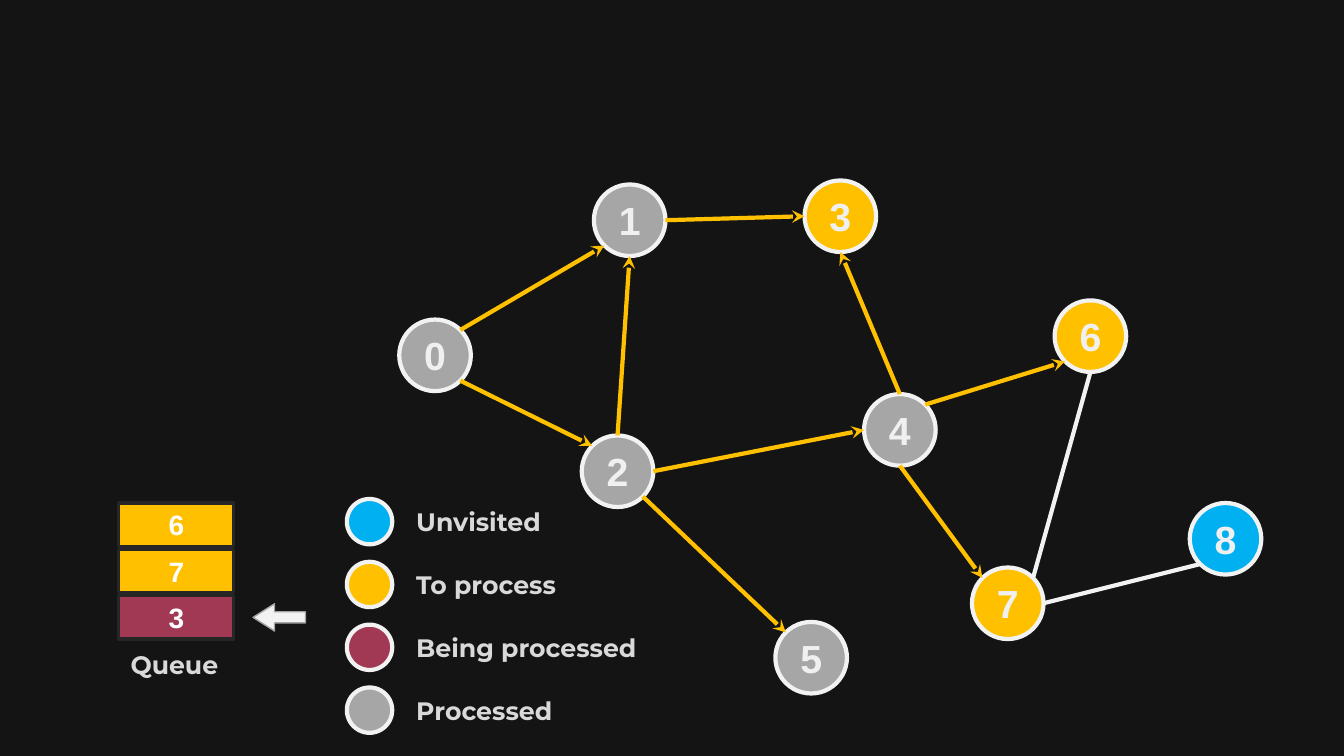
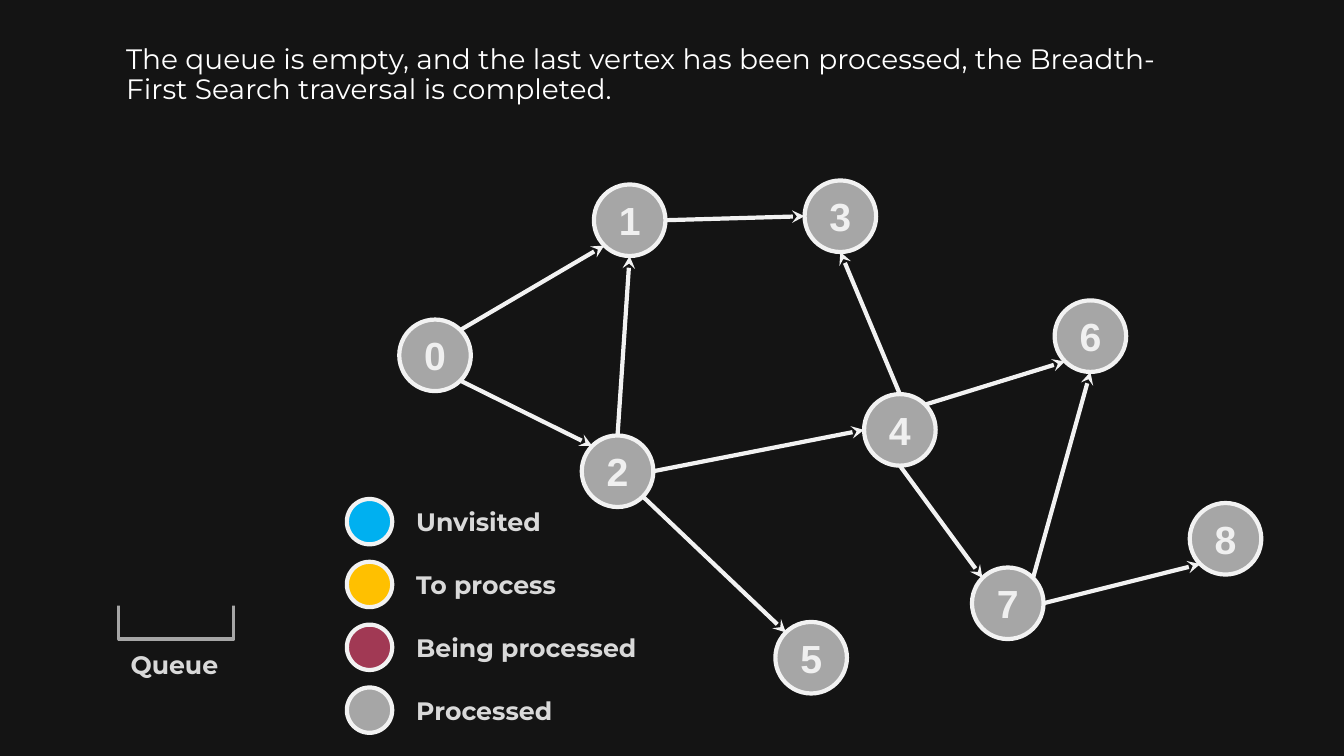
from math import cos, radians, sin

from lxml.etree import SubElement
from pptx import Presentation
from pptx.dml.color import RGBColor
from pptx.enum.shapes import MSO_CONNECTOR, MSO_SHAPE
from pptx.enum.text import MSO_ANCHOR, MSO_AUTO_SIZE, PP_ALIGN
from pptx.oxml.ns import qn
from pptx.util import Inches, Pt

SLIDE_SIZE = (13.33, 7.5)
BACKGROUND, OUTLINE, FRAME = "141414", "F2F2F2", "262626"
STATES = {
    "Unvisited": "00B0F0",
    "To process": "FFC000",
    "Being processed": "A13954",
    "Processed": "A6A6A6",
}

TITLE_FONT = {"name": "Montserrat", "size": Pt(20), "bold": False}
LABEL_FONT = {"name": "Montserrat", "size": Pt(18), "bold": True}
NODE_FONT = {"name": "Arial", "size": Pt(28), "bold": True}
QUEUE_FONT = {"name": "Arial", "size": Pt(20), "bold": True}

TITLE_BOX = (1.15, 0.4, 11.02, 0.82)
GRAPH_BOX = (3.96, 1.79, 8.55, 5.09)
LEGEND_BOX = (3.44, 4.95, 3.19, 2.32)
QUEUE_BOX = (1.18, 4.99, 1.14, 1.35)

GRAPH_COLUMNS, GRAPH_ROWS, NODE_CELLS = 855, 509, 71
NODE_CELL = {
    "0": (0, 138), "1": (193, 4), "2": (181, 253),
    "3": (402, 0), "4": (461, 212), "5": (373, 438),
    "6": (650, 119), "7": (568, 384), "8": (784, 320),
}
TOP, TOP_LEFT, LEFT, BOTTOM_LEFT, BOTTOM, BOTTOM_RIGHT, RIGHT, TOP_RIGHT = range(8)
EDGES = [
    ("0", TOP_RIGHT, "1", BOTTOM_LEFT),
    ("0", BOTTOM_RIGHT, "2", TOP_LEFT),
    ("1", RIGHT, "3", LEFT),
    ("2", TOP, "1", BOTTOM),
    ("2", RIGHT, "4", LEFT),
    ("2", BOTTOM_RIGHT, "5", TOP_LEFT),
    ("4", TOP, "3", BOTTOM),
    ("4", TOP_RIGHT, "6", BOTTOM_LEFT),
    ("4", BOTTOM, "7", TOP_LEFT),
    ("7", TOP_RIGHT, "6", BOTTOM),
    ("7", RIGHT, "8", BOTTOM_LEFT),
]


def color(hex_value):
    return RGBColor.from_string(hex_value)


def lengths(box):
    return [Inches(value) for value in box]


def write(shape, text, font_format, font_color, alignment=PP_ALIGN.CENTER, anchor=MSO_ANCHOR.MIDDLE):
    frame = shape.text_frame
    frame.word_wrap = True
    frame.vertical_anchor = anchor
    paragraph = frame.paragraphs[0]
    paragraph.alignment = alignment
    run = paragraph.add_run()
    run.text = text
    for name, value in font_format.items():
        setattr(run.font, name, value)
    run.font.color.rgb = color(font_color)
    return paragraph


def add_figure(slide, kind, box, fill=None, line=None, width=3):
    shape = slide.shapes.add_shape(kind, *lengths(box))
    shape.shadow.inherit = False
    if fill:
        shape.fill.solid()
        shape.fill.fore_color.rgb = color(fill)
    else:
        shape.fill.background()
    if line:
        shape.line.color.rgb = color(line)
        shape.line.width = Pt(width)
    else:
        shape.line.fill.background()
    return shape


def add_label(slide, box, text, alignment=PP_ALIGN.LEFT):
    label = slide.shapes.add_textbox(*lengths(box))
    write(label, text, LABEL_FONT, "D9D9D9", alignment)


def site_point(node, site):
    angle = radians(90 + 45 * site)
    radius = node.width / 2
    return (
        round(node.left + radius + radius * cos(angle)),
        round(node.top + radius - radius * sin(angle)),
    )


def add_edge(slide, start, start_site, end, end_site, line, arrow):
    connector = slide.shapes.add_connector(
        MSO_CONNECTOR.STRAIGHT, *site_point(start, start_site), *site_point(end, end_site)
    )
    connector.line.color.rgb = color(line)
    connector.line.width = Pt(3)
    joints = connector.element.find(".//" + qn("p:cNvCxnSpPr"))
    for tag, node, site in (("a:stCxn", start, start_site), ("a:endCxn", end, end_site)):
        SubElement(joints, qn(tag), id=str(node.shape_id), idx=str(site))
    properties = connector.element.find(qn("p:spPr"))
    if arrow:
        SubElement(properties.find(qn("a:ln")), qn("a:tailEnd"), type="stealth")
    SubElement(properties, qn("a:effectLst"))


def add_graph(slide, box, states, traversed_color):
    left, top, width, height = box
    column, row = width / GRAPH_COLUMNS, height / GRAPH_ROWS
    diameter = NODE_CELLS * column
    nodes = {}
    for name, (x, y) in NODE_CELL.items():
        node_box = (left + x * column, top + y * row, diameter, diameter)
        fill = STATES[states.get(name, "Processed")]
        nodes[name] = add_figure(slide, MSO_SHAPE.OVAL, node_box, fill, OUTLINE)
        write(nodes[name], name, NODE_FONT, "F0F0F0")
    for start, start_site, end, end_site in EDGES:
        traversed = states.get(start, "Processed") == "Processed"
        line = traversed_color if traversed else OUTLINE
        add_edge(slide, nodes[start], start_site, nodes[end], end_site, line, traversed)


def add_legend(slide, box):
    left, top, width, height = box
    dot, label_offset, label_height = 0.45, 0.59, 0.4
    step = (height - dot) / (len(STATES) - 1)
    for index, (state, fill) in enumerate(STATES.items()):
        y = top + index * step
        add_figure(slide, MSO_SHAPE.OVAL, (left, y, dot, dot), fill, OUTLINE)
        label_top = y + (dot - label_height) / 2
        add_label(slide, (left + label_offset, label_top, width - label_offset, label_height), state)


def add_queue(slide, box, items, states):
    left, top, width, height = box
    cell, step = 0.43, 0.46
    bottom = top + height
    front = bottom - cell
    for index, name in enumerate(items):
        cell_box = (left, front - index * step, width, cell)
        shape = add_figure(slide, MSO_SHAPE.RECTANGLE, cell_box,
                           STATES["To process" if index else "Being processed"], FRAME, 2.25)
        write(shape, name, QUEUE_FONT, "FFFFFF")
    if items:
        arrow_box = (left + width + 0.19, front + 0.08, 0.52, 0.27)
        arrow = add_figure(slide, MSO_SHAPE.LEFT_ARROW, arrow_box, OUTLINE, "A3A3A3", 1)
        arrow.adjustments[0], arrow.adjustments[1] = 0.41, 0.79
    else:
        add_figure(slide, MSO_SHAPE.RECTANGLE, (left, front, width, cell), line=STATES["Processed"], width=2.25)
        add_figure(slide, MSO_SHAPE.RECTANGLE, (left - 0.05, front - 0.26, width + 0.11, 0.36), BACKGROUND)
    add_label(slide, (left - 0.05, bottom + 0.05, 1.2, 0.4), "Queue", PP_ALIGN.CENTER)


def add_title(slide, box, text):
    title = slide.shapes.title
    title.left, title.top, title.width, title.height = lengths(box)
    title.text_frame.auto_size = MSO_AUTO_SIZE.NONE
    paragraph = write(title, text, TITLE_FONT, "FFFFFF", PP_ALIGN.LEFT, MSO_ANCHOR.TOP)
    paragraph.line_spacing = 0.9


def add_traversal_slide(presentation, states, queue, traversed_color, title=None):
    layout = presentation.slide_layouts.get_by_name("Title Only" if title else "Blank")
    slide = presentation.slides.add_slide(layout)
    if title:
        add_title(slide, TITLE_BOX, title)
    add_graph(slide, GRAPH_BOX, states, traversed_color)
    add_legend(slide, LEGEND_BOX)
    add_queue(slide, QUEUE_BOX, queue, states)


def main():
    presentation = Presentation()
    presentation.slide_width, presentation.slide_height = lengths(SLIDE_SIZE)
    background = presentation.slide_master.background.fill
    background.solid()
    background.fore_color.rgb = color(BACKGROUND)

    waiting = {"3": "To process", "6": "To process", "7": "To process", "8": "Unvisited"}
    add_traversal_slide(presentation, waiting, ["3", "7", "6"], STATES["To process"])
    add_traversal_slide(
        presentation, {}, [], OUTLINE,
        "The queue is empty, and the last vertex has been processed, "
        "the Breadth-First Search traversal is completed.",
    )
    presentation.save("out.pptx")


if __name__ == "__main__":
    main()
